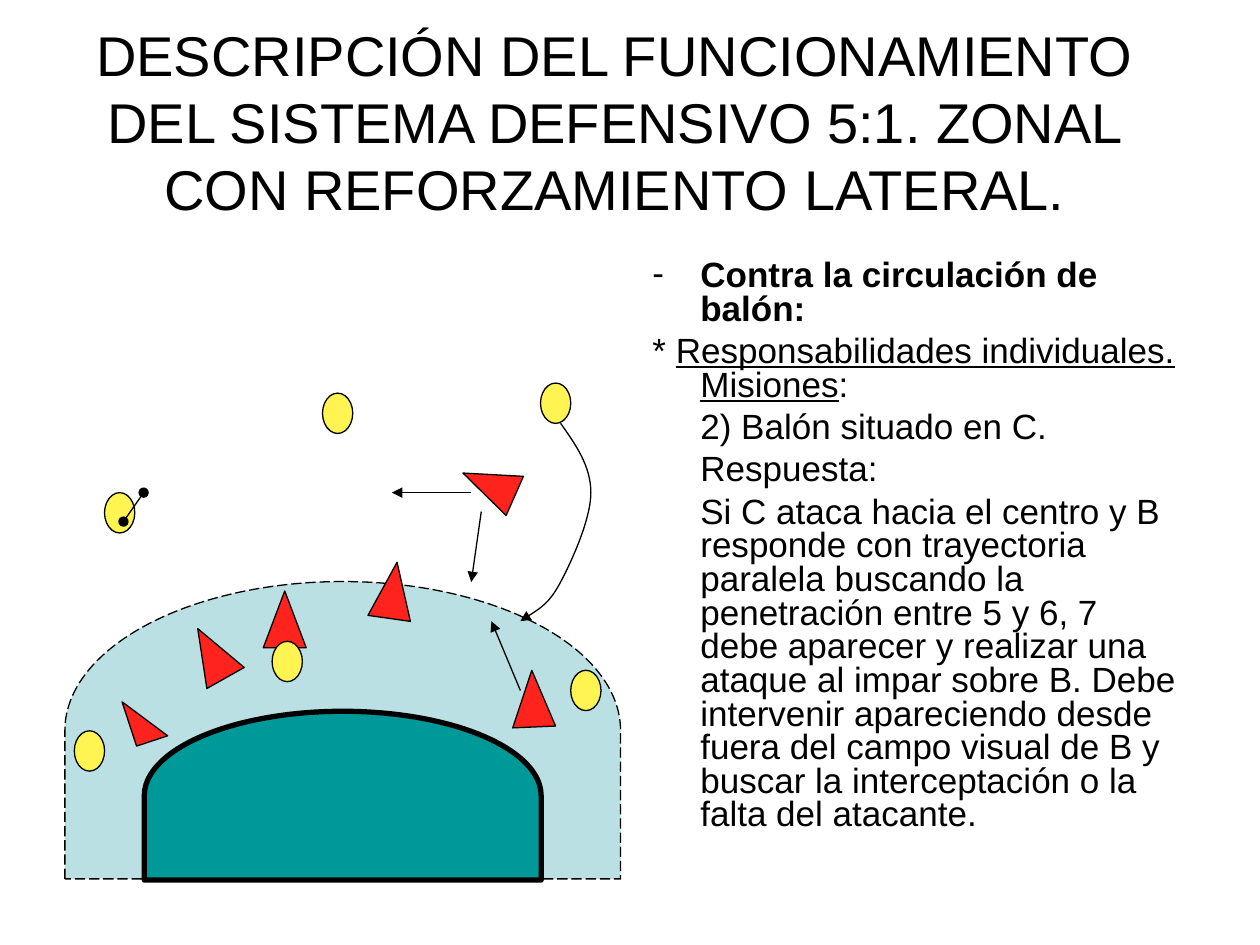
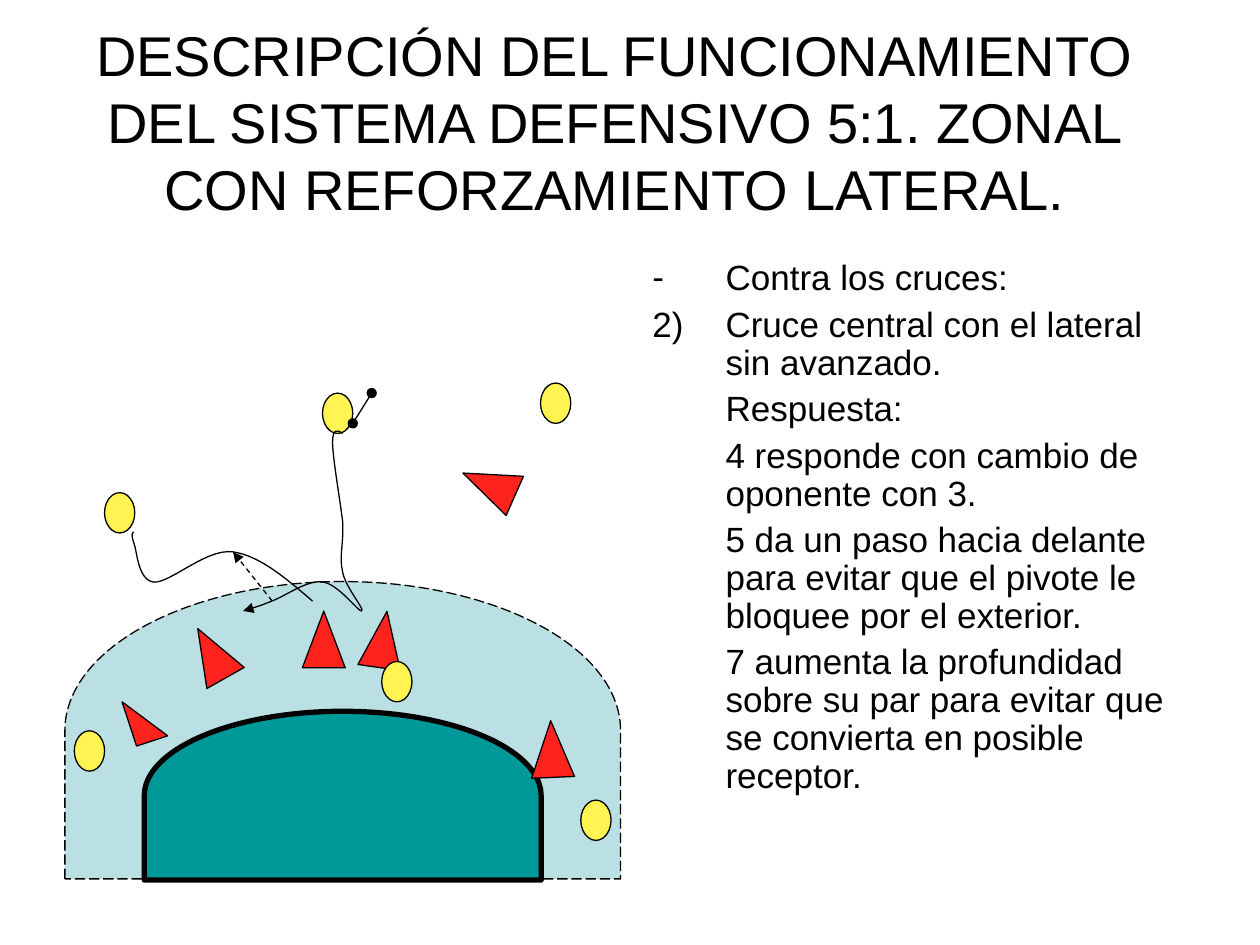
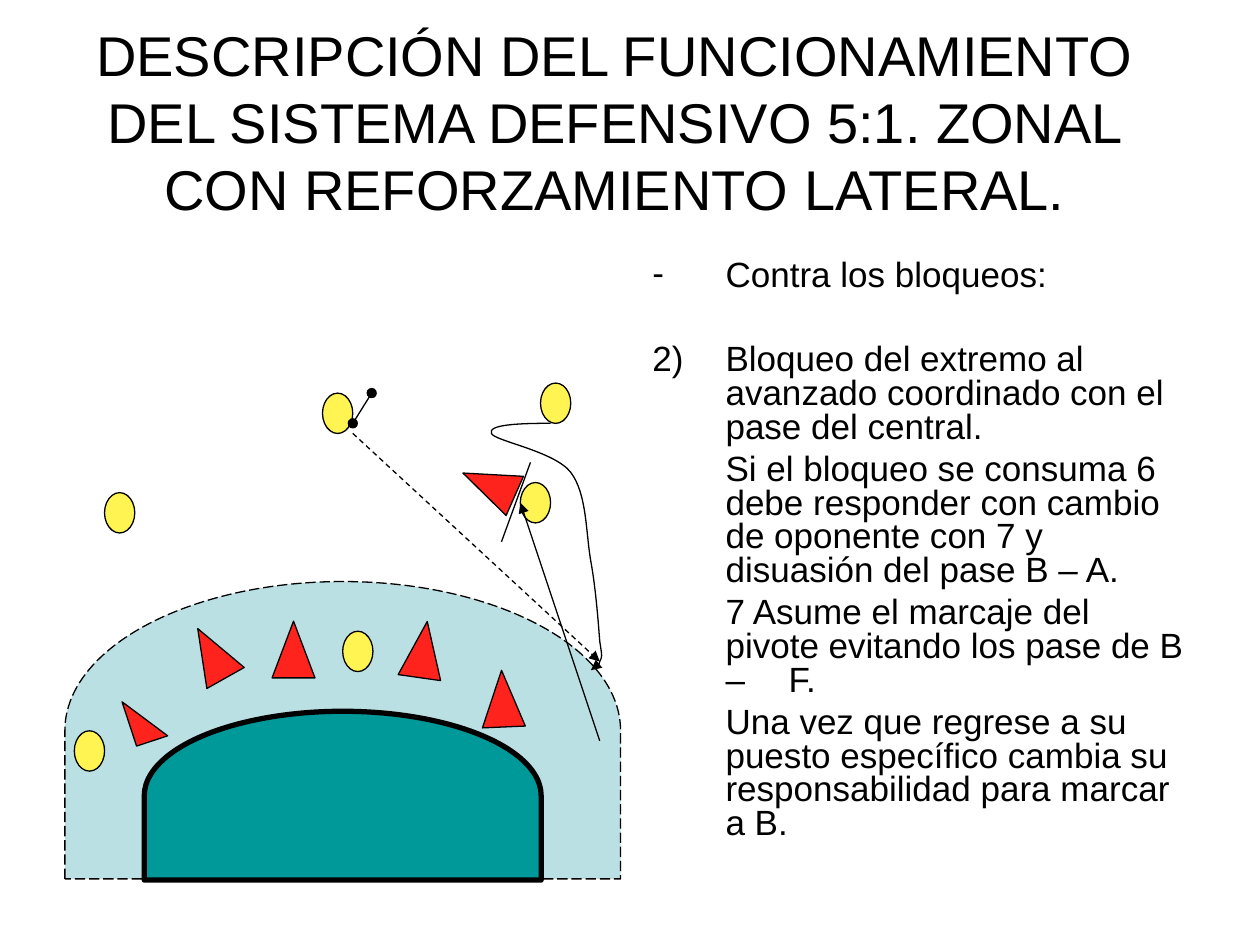
from lxml import etree
from pptx import Presentation
from pptx.dml.color import RGBColor
from pptx.enum.dml import MSO_LINE
from pptx.enum.shapes import MSO_CONNECTOR, MSO_SHAPE
from pptx.enum.text import MSO_ANCHOR, PP_ALIGN
from pptx.oxml.ns import qn
from pptx.util import Inches, Pt

BLACK = RGBColor(0x00, 0x00, 0x00)
ZONE = RGBColor(0xBB, 0xE0, 0xE3)
GOAL = RGBColor(0x00, 0x99, 0x99)
DEFENDER = RGBColor(0xFF, 0x23, 0x1E)
ATTACKER = RGBColor(0xFF, 0xF4, 0x52)

DELAY = MSO_SHAPE.FLOWCHART_DELAY
TRIANGLE = MSO_SHAPE.ISOSCELES_TRIANGLE
OVAL = MSO_SHAPE.OVAL
STRAIGHT = MSO_CONNECTOR.STRAIGHT
DASH = MSO_LINE.DASH
LONG_DASH = MSO_LINE.LONG_DASH
CENTER = PP_ALIGN.CENTER
MIDDLE = MSO_ANCHOR.MIDDLE

FONT = "Arial"
THIN = 0.75
TITLE_BOX = (0.51, 0.3, 8.74, 1.32)
TEXT_BOX = (5.08, 2.02, 4.42, 4.96)
COURT_ORIGIN = (0.5, 3)
TITLE = ("DESCRIPCIÓN DEL FUNCIONAMIENTO DEL SISTEMA DEFENSIVO 5:1. "
         "ZONAL CON REFORZAMIENTO LATERAL.")

FIXED_DEFENDERS = [(3.21, 0.62, 293.8), (1.01, 1.96, 330.6)]
FIXED_ATTACKERS = [(2.06, 0.12), (3.79, 0.04), (0.09, 2.8), (0.33, 0.91)]
MOVING_ANGLES = (357.6, 8, 0)
CENTRE_BALL = {"start": (2.3, 0.36), "end": (2.45, 0.12), "head": "oval", "tail": "oval"}


def add_text_box(s, box):
    """Add a wrapping text box and return its text frame."""
    tf = s.shapes.add_textbox(*map(Inches, box)).text_frame
    tf.word_wrap = True
    return tf


def add_run(p, text, size, bold=False, underline=False):
    """Add one black run to a paragraph."""
    r = p.add_run()
    r.text = text
    r.font.name = FONT
    r.font.size = Pt(size)
    r.font.color.rgb = BLACK
    r.font.bold = bold
    r.font.underline = underline


def add_title(s, box):
    """Place the shared slide title."""
    tf = add_text_box(s, box)
    tf.vertical_anchor = MIDDLE
    p = tf.paragraphs[0]
    p.alignment = CENTER
    add_run(p, TITLE, 32)


def set_bullet(p, mark):
    """Give a paragraph a dash, a number to start from, or no bullet."""
    pPr = p._p.get_or_add_pPr()
    if mark == "-":
        etree.SubElement(pPr, qn("a:buFont"), typeface=FONT)
        etree.SubElement(pPr, qn("a:buChar"), char=mark)
    elif isinstance(mark, int):
        etree.SubElement(pPr, qn("a:buFont"), typeface=FONT)
        etree.SubElement(pPr, qn("a:buAutoNum"), type="arabicParenR", startAt=str(mark))
    else:
        etree.SubElement(pPr, qn("a:buNone"))
    tabs = etree.SubElement(pPr, qn("a:tabLst"))
    etree.SubElement(tabs, qn("a:tab"), pos=str(Inches(1)), algn="l")


def add_body(s, box, paragraphs, indent, spacing):
    """Place the explanation: each paragraph is a mark, its runs and the space before."""
    tf = add_text_box(s, box)
    for i, (mark, runs, before) in enumerate(paragraphs):
        p = tf.paragraphs[0] if i == 0 else tf.add_paragraph()
        p.line_spacing = spacing
        p.space_before = Pt(before)
        pPr = p._p.get_or_add_pPr()
        pPr.set("marL", str(Inches(indent)))
        pPr.set("indent", str(Inches(-indent if mark else 0)))
        set_bullet(p, mark)
        for text, style in runs:
            add_run(p, text, 20, **style)


def para(text, mark=None, before=5, **style):
    """Describe a paragraph of a single run."""
    return mark, [(text, style)], before


def add_piece(s, origin, kind, box, fill, angle=0, width=THIN):
    """Add a filled, outlined shape at a place on the court."""
    x, y, w, h = box
    sp = s.shapes.add_shape(kind, Inches(origin[0] + x), Inches(origin[1] + y),
                            Inches(w), Inches(h))
    sp.rotation = angle
    sp.shadow.inherit = False
    sp.fill.solid()
    sp.fill.fore_color.rgb = fill
    sp.line.color.rgb = BLACK
    sp.line.width = Pt(width)
    return sp


def style_line(sp, head=None, tail=None, dash=None):
    """Give a line or curve its stroke and its ends."""
    sp.line.color.rgb = BLACK
    sp.line.width = Pt(THIN)
    if dash:
        sp.line.dash_style = dash
    ln = sp.line._get_or_add_ln()
    for tag, end in (("a:headEnd", head), ("a:tailEnd", tail)):
        if end:
            etree.SubElement(ln, qn(tag), type=end)


def add_line(s, origin, start, end, **ends):
    """Draw a straight line on the court."""
    ox, oy = origin
    sp = s.shapes.add_connector(STRAIGHT, Inches(ox + start[0]), Inches(oy + start[1]),
                                Inches(ox + end[0]), Inches(oy + end[1]))
    style_line(sp, **ends)
    etree.SubElement(sp._element.spPr, qn("a:effectLst"))


def add_curve(s, origin, points, tail=None):
    """Draw a path of cubic curves: a start, then three points for each curve."""
    spots = [(Inches(origin[0] + x), Inches(origin[1] + y)) for x, y in points]
    builder = s.shapes.build_freeform(*spots[0])
    builder.add_line_segments(spots[1:], close=False)
    sp = builder.convert_to_shape()
    segments = list(sp._element.iter(qn("a:lnTo")))
    outline = segments[0].getparent()
    for i in range(0, len(segments), 3):
        cubic = etree.SubElement(outline, qn("a:cubicBezTo"))
        for segment in segments[i:i + 3]:
            cubic.append(segment[0])
            outline.remove(segment)
    sp.fill.background()
    sp.shadow.inherit = False
    style_line(sp, tail=tail)


def add_court(s, origin, defenders, attackers, lines, curves):
    """Draw the court with its zones, players and movements."""
    zone = add_piece(s, origin, DELAY, (1.04, 0.59, 2.36, 4.41), ZONE, 270)
    zone.line.dash_style = LONG_DASH
    add_piece(s, origin, DELAY, (1.55, 1.74, 1.34, 3.15), GOAL, 270, 3)
    moving = [(x, y, a) for (x, y), a in zip(defenders, MOVING_ANGLES)]
    for x, y, angle in moving + FIXED_DEFENDERS:
        add_piece(s, origin, TRIANGLE, (x, y, 0.34, 0.45), DEFENDER, angle)
    wing = add_piece(s, origin, TRIANGLE, (0.52, 2.52, 0.26, 0.37), DEFENDER, 341.8)
    wing.adjustments[0] = 0
    for x, y in FIXED_ATTACKERS + attackers:
        add_piece(s, origin, OVAL, (x, y, 0.24, 0.32), ATTACKER)
    for line in lines:
        add_line(s, origin, **line)
    for curve in curves:
        add_curve(s, origin, **curve)


def arrow(start, end, dash=None):
    """Describe a straight arrow."""
    return {"start": start, "end": end, "tail": "triangle", "dash": dash}


SLIDES = [
    {
        "body": {
            "indent": 0.38, "spacing": 0.8,
            "paragraphs": [
                para("Contra la circulación de balón:", "-", bold=True),
                ("*", [("* ", {}),
                       ("Responsabilidades individuales. Misiones", {"underline": True}),
                       (":", {})], 5),
                para("2) Balón situado en C."),
                para("Respuesta:"),
                para("Si C ataca hacia el centro y B responde con trayectoria paralela "
                     "buscando la penetración entre 5 y 6, 7 debe aparecer y realizar una "
                     "ataque al impar sobre B. Debe intervenir apareciendo desde fuera del "
                     "campo visual de B y buscar la interceptación o la falta del atacante."),
            ],
        },
        "court": {
            "defenders": [(3.56, 2.32), (2.45, 1.46), (1.59, 1.69)],
            "attackers": [(4.03, 2.32), (1.66, 2.09)],
            "lines": [
                {"start": (0.48, 1.14), "end": (0.64, 0.91), "head": "oval", "tail": "oval"},
                arrow((3.24, 0.91), (2.61, 0.91)),
                arrow((3.63, 2.48), (3.4, 1.93)),
                arrow((3.32, 1.06), (3.24, 1.62)),
            ],
            "curves": [{"tail": "triangle", "points": [
                (3.95, 0.36), (4.07, 0.53), (4.19, 0.7), (4.19, 0.91),
                (4.19, 1.12), (4.04, 1.45), (3.95, 1.62),
                (3.86, 1.79), (3.74, 1.86), (3.63, 1.93)]}],
        },
    },
    {
        "body": {
            "indent": 0.58, "spacing": 0.9,
            "paragraphs": [
                para("Contra los cruces:", "-"),
                para("Cruce central con el lateral sin avanzado.", 2),
                para("Respuesta:"),
                para("4 responde con cambio de oponente con 3."),
                para("5 da un paso hacia delante para evitar que el pivote le bloquee "
                     "por el exterior."),
                para("7 aumenta la profundidad sobre su par para evitar que se convierta "
                     "en posible receptor."),
            ],
        },
        "court": {
            "defenders": [(3.71, 2.72), (2.37, 1.85), (1.9, 1.85)],
            "attackers": [(4.11, 3.35), (2.53, 2.25)],
            "lines": [CENTRE_BALL, arrow((1.66, 1.77), (1.35, 1.38), DASH)],
            "curves": [
                {"tail": "triangle", "points": [
                    (2.22, 0.44), (2.18, 0.41), (2.14, 0.4), (2.14, 0.51),
                    (2.14, 0.63), (2.2, 0.97), (2.22, 1.14),
                    (2.23, 1.31), (2.19, 1.42), (2.22, 1.54),
                    (2.24, 1.66), (2.4, 1.84), (2.37, 1.85),
                    (2.35, 1.86), (2.18, 1.63), (2.06, 1.62),
                    (1.94, 1.6), (1.77, 1.73), (1.66, 1.77),
                    (1.56, 1.81), (1.47, 1.84), (1.43, 1.85)]},
                {"points": [
                    (0.56, 1.22), (0.55, 1.23), (0.54, 1.24), (0.56, 1.3),
                    (0.59, 1.37), (0.59, 1.6), (0.72, 1.62),
                    (0.85, 1.63), (1.14, 1.35), (1.35, 1.38),
                    (1.56, 1.41), (1.77, 1.59), (1.98, 1.77)]},
            ],
        },
    },
    {
        "body": {
            "indent": 0.58, "spacing": 0.8,
            "paragraphs": [
                para("Contra los bloqueos:", "-"),
                para("Bloqueo del extremo al avanzado coordinado con el pase del central.",
                     2, 29),
                para("Si el bloqueo se consuma 6 debe responder con cambio de oponente "
                     "con 7 y disuasión del pase B – A."),
                para("7 Asume el marcaje del pivote evitando los pase de B – \tF."),
                para("Una vez que regrese a su puesto específico cambia su "
                     "responsabilidad para marcar a B."),
            ],
        },
        "court": {
            "defenders": [(3.32, 2.32), (2.69, 1.93), (1.66, 1.93)],
            "attackers": [(3.63, 0.83), (2.22, 2.01)],
            "lines": [
                CENTRE_BALL,
                arrow((4.26, 2.88), (3.63, 0.99)),
                {"start": (3.71, 0.67), "end": (3.48, 1.3)},
                arrow((2.3, 0.44), (4.26, 2.25), DASH),
            ],
            "curves": [{"tail": "triangle", "points": [
                (3.87, 0.36), (3.62, 0.36), (3.37, 0.37), (3.4, 0.44),
                (3.42, 0.5), (3.9, 0.58), (4.03, 0.75),
                (4.16, 0.92), (4.15, 1.24), (4.19, 1.46),
                (4.23, 1.68), (4.25, 1.96), (4.26, 2.09),
                (4.28, 2.22), (4.28, 2.21), (4.26, 2.25),
                (4.25, 2.29), (4.22, 2.31), (4.19, 2.32)]}],
        },
    },
]


def main():
    """Build and save the presentation."""
    prs = Presentation()
    prs.slide_width, prs.slide_height = Inches(10), Inches(7.5)
    for content in SLIDES:
        s = prs.slides.add_slide(prs.slide_layouts[6])
        add_title(s, TITLE_BOX)
        add_body(s, TEXT_BOX, **content["body"])
        add_court(s, COURT_ORIGIN, **content["court"])
    prs.save("out.pptx")


main()
